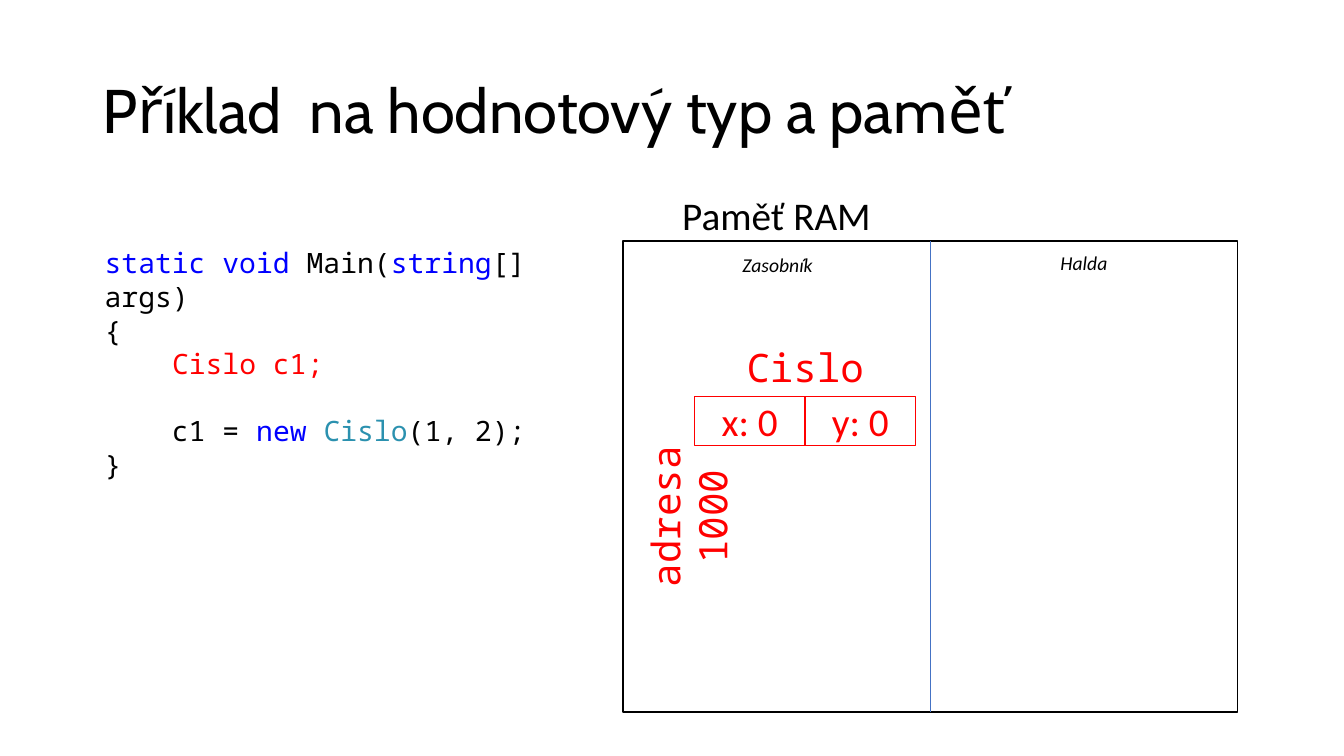
import pptx
import pptx.dml.color
import pptx.enum.shapes
import pptx.enum.text
import pptx.oxml
import pptx.util
from dataclasses import dataclass

Pt = pptx.util.Pt
Shape = pptx.enum.shapes.MSO_SHAPE
Align = pptx.enum.text.PP_ALIGN
Anchor = pptx.enum.text.MSO_ANCHOR
AutoSize = pptx.enum.text.MSO_AUTO_SIZE


@dataclass(frozen=True)
class Theme:
    black: str = "000000"
    white: str = "FFFFFF"
    red: str = "FF0000"
    keyword: str = "0000FF"
    type_name: str = "2B91AF"
    divider: str = "4472C4"
    heading_font: str = "Cabin"
    body_font: str = "Calibri"
    code_font: str = "Noto Sans Mono"
    title_size: int = 44
    label_size: int = 28
    code_size: int = 20
    caption_size: int = 14


theme = Theme()


def rgb(value):
    return pptx.dml.color.RGBColor.from_string(value)


def write(para, text, size=theme.label_size, font=theme.body_font,
          color=theme.black, italic=False, align=Align.LEFT):
    para.alignment = align
    span = para.add_run()
    span.text = text
    span.font.size = Pt(size)
    span.font.name = font
    span.font.italic = italic
    span.font.color.rgb = rgb(color)


deck = pptx.Presentation()
deck.slide_width, deck.slide_height = Pt(960), Pt(540)
page = deck.slides.add_slide(deck.slide_layouts[5])

title = page.shapes.title
title.left, title.top, title.width, title.height = Pt(66), Pt(28.75), Pt(828), Pt(104.4)
title.text_frame.vertical_anchor = Anchor.MIDDLE
title.text_frame.auto_size = AutoSize.NONE
title.text_frame.word_wrap = True
heading = title.text_frame.paragraphs[0]
heading.line_spacing = 0.9
write(heading, "Příklad  na hodnotový typ a paměť",
      size=theme.title_size, font=theme.heading_font)

memory = page.shapes.add_shape(Shape.RECTANGLE, Pt(444.9), Pt(172), Pt(439), Pt(336.6))
memory.shadow.inherit = False
memory.fill.solid()
memory.fill.fore_color.rgb = rgb(theme.white)
memory.line.color.rgb = rgb(theme.black)
memory.line.width = Pt(1)

code_lines = [
    [("static void", theme.keyword), (" Main(", theme.black),
     ("string", theme.keyword), ("[] args)", theme.black)],
    [("{", theme.black)],
    [("    ", theme.black), ("Cislo c1;", theme.red)],
    [("    c1 = ", theme.black), ("new ", theme.keyword),
     ("Cislo", theme.type_name), ("(1, 2);", theme.black)],
    [("}", theme.black)],
]
code = page.shapes.add_textbox(Pt(67.7), Pt(172), Pt(375.8), Pt(152.6)).text_frame
code.word_wrap = True
code.auto_size = AutoSize.SHAPE_TO_FIT_TEXT
for index, line in enumerate(code_lines):
    para = code.paragraphs[0] if index == 0 else code.add_paragraph()
    if index == 3:
        para.space_before = Pt(24)
    for text, color in line:
        write(para, text, size=theme.code_size, font=theme.code_font, color=color)

caption = dict(size=theme.caption_size, italic=True, align=Align.CENTER)
red_code = dict(font=theme.code_font, color=theme.red, align=Align.CENTER)
labels = [
    ("Paměť RAM", 480.2, 133.2, 414, 41, 0, {}),
    ("Cislo", 496, 242, 158.4, 41, 0, red_code),
    ("adresa 1000", 376.6, 348.5, 196.6, 41, 270, red_code),
    ("Halda", 663.8, 175.7, 221, 24.5, 0, caption),
    ("Zasobník", 444.9, 177.1, 221, 24.5, 0, caption),
]
for text, left, top, width, height, rotation, style in labels:
    box = page.shapes.add_textbox(Pt(left), Pt(top), Pt(width), Pt(height))
    box.rotation = rotation
    box.text_frame.word_wrap = True
    box.text_frame.auto_size = AutoSize.SHAPE_TO_FIT_TEXT
    write(box.text_frame.paragraphs[0], text, **style)

divider = page.shapes.add_connector(
    pptx.enum.shapes.MSO_CONNECTOR.STRAIGHT, Pt(664.4), Pt(508.6), Pt(664.4), Pt(172))
divider.begin_connect(memory, 2)
divider.end_connect(memory, 0)
divider.line.color.rgb = rgb(theme.divider)
divider.line.width = Pt(0.5)
divider._element.spPr.append(pptx.oxml.parse_xml(
    '<a:effectLst xmlns:a="http://schemas.openxmlformats.org/drawingml/2006/main"/>'))

cell_width = 79
fields = page.shapes.add_group_shape()
for column, text in enumerate(["x: 0", "y: 0"]):
    cell = fields.shapes.add_shape(
        Shape.RECTANGLE, Pt(496 + column * cell_width), Pt(283), Pt(cell_width), Pt(35.3))
    cell.shadow.inherit = False
    cell.fill.solid()
    cell.fill.fore_color.rgb = rgb(theme.white)
    cell.line.color.rgb = rgb(theme.red)
    cell.line.width = Pt(1)
    cell.text_frame.vertical_anchor = Anchor.MIDDLE
    write(cell.text_frame.paragraphs[0], text, color=theme.red, align=Align.CENTER)

deck.save("out.pptx")
